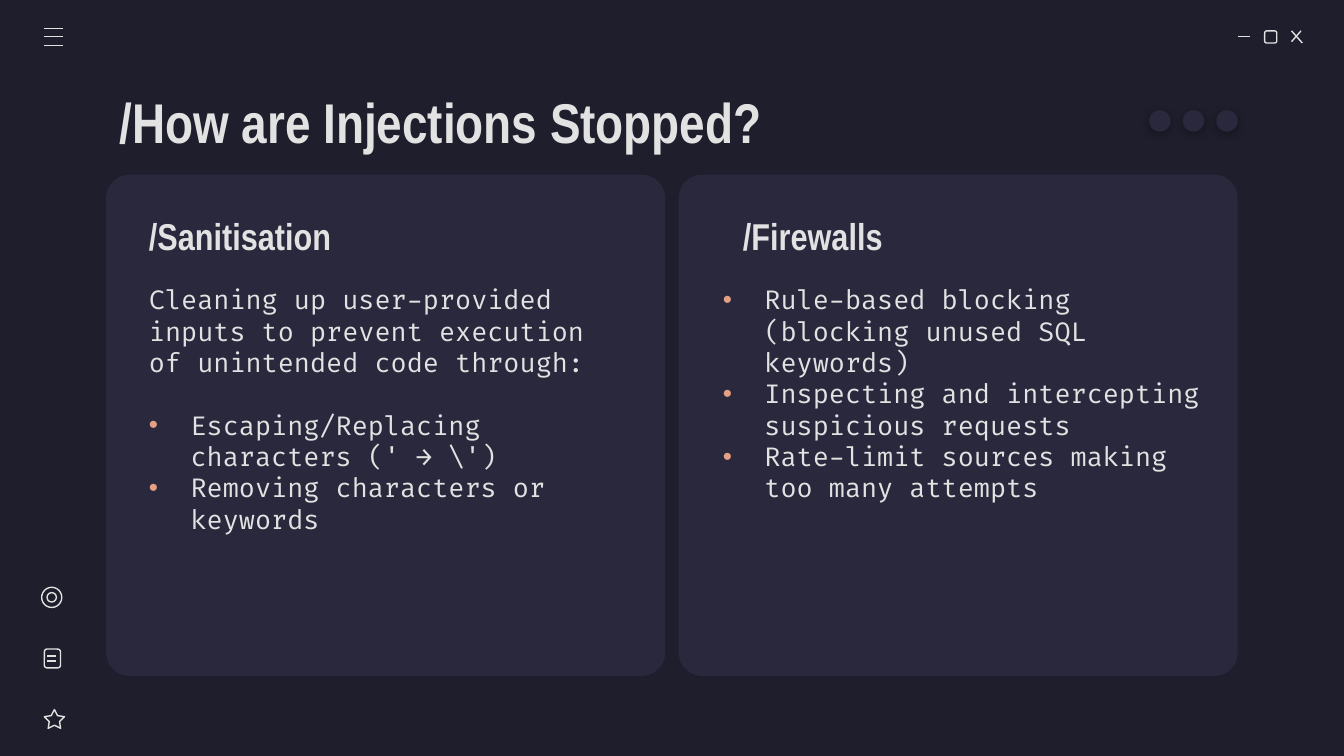
from lxml import etree
from pptx import Presentation
from pptx.dml.color import RGBColor
from pptx.enum import shapes, text
from pptx.oxml.ns import qn
from pptx.util import Inches, Pt

NIGHT = RGBColor(0x1E, 0x1E, 0x2C)
PANEL = RGBColor(0x29, 0x28, 0x3D)
PALE = RGBColor(0xE2, 0xE2, 0xE2)
PEACH = RGBColor(0xE5, 0xA0, 0x83)
HEADING_FONT, BODY_FONT, BULLET_FONT = "Arial Narrow", "Fira Code", "Arial"
KIND = shapes.MSO_SHAPE


def add_shape(page, kind, left, top, width, height, fill=None, adjust=None):
    """Add a filled shape, or a pale outline when no fill is given."""
    shape = page.shapes.add_shape(
        kind, Inches(left), Inches(top), Inches(width), Inches(height))
    shape.shadow.inherit = False
    if adjust is not None:
        shape.adjustments[0] = adjust
    if fill is None:
        shape.fill.background()
        shape.line.color.rgb = PALE
        shape.line.width = Pt(0.75)
    else:
        shape.fill.solid()
        shape.fill.fore_color.rgb = fill
        shape.line.fill.background()
    return shape


def add_line(page, x1, y1, x2, y2):
    """Add a thin pale line without a shadow."""
    line = page.shapes.add_connector(
        shapes.MSO_CONNECTOR.STRAIGHT, Inches(x1), Inches(y1), Inches(x2), Inches(y2))
    line.line.color.rgb = PALE
    line.line.width = Pt(0.75)
    etree.SubElement(line._element.spPr, qn("a:effectLst"))


def add_text(page, left, top, width, height, lines, size, font=BODY_FONT, heading=False):
    """Add a text box with one paragraph per line and return its paragraphs."""
    box = page.shapes.add_textbox(
        Inches(left), Inches(top), Inches(width), Inches(height))
    frame = box.text_frame
    frame.word_wrap = True
    frame.margin_left = frame.margin_right = Inches(0.1)
    frame.margin_top = frame.margin_bottom = Inches(0.1)
    frame.vertical_anchor = text.MSO_ANCHOR.MIDDLE if heading else text.MSO_ANCHOR.TOP
    frame.text = "\n".join(lines)
    for para in frame.paragraphs:
        for span in para.runs:
            span.font.name = font
            span.font.size = Pt(size)
            span.font.bold = heading
            span.font.color.rgb = PALE
    return frame.paragraphs


def set_indent(para, margin, first):
    """Set the left margin and first-line indent of a paragraph."""
    properties = para._p.get_or_add_pPr()
    properties.set("marL", str(Inches(margin)))
    properties.set("indent", str(Inches(first)))
    return properties


def add_bullet(para):
    """Give a paragraph a hanging peach bullet."""
    properties = set_indent(para, 0.31, -0.31)
    colour = etree.SubElement(properties, qn("a:buClr"))
    etree.SubElement(colour, qn("a:srgbClr"), val=str(PEACH))
    etree.SubElement(properties, qn("a:buFont"), typeface=BULLET_FONT)
    etree.SubElement(properties, qn("a:buChar"), char="•")


def add_window_buttons(page, left, top):
    """Draw the minimise, maximise and close signs."""
    add_line(page, left, top + 0.04, left + 0.09, top + 0.04)
    add_shape(page, KIND.ROUNDED_RECTANGLE, left + 0.2, top, 0.09, 0.09)
    add_line(page, left + 0.4, top, left + 0.48, top + 0.09)
    add_line(page, left + 0.47, top, left + 0.4, top + 0.08)


def add_menu(page, left, top):
    """Draw the three-line menu sign."""
    for offset in (0, 0.06, 0.13):
        add_line(page, left, top + offset, left + 0.14, top + offset)


def add_sidebar(page, left, top):
    """Draw the target, note and star icons."""
    add_shape(page, KIND.OVAL, left, top, 0.15, 0.15)
    add_shape(page, KIND.OVAL, left + 0.04, top + 0.04, 0.07, 0.07)
    add_shape(page, KIND.ROUNDED_RECTANGLE, left + 0.02, top + 0.46, 0.12, 0.14)
    for y in (top + 0.51, top + 0.55):
        add_line(page, left + 0.04, y, left + 0.11, y)
    add_shape(page, KIND.STAR_5_POINT, left + 0.02, top + 0.91, 0.15, 0.14, adjust=0.254)


def add_dots(page, left, top):
    """Draw three dots with soft shadows below them."""
    for index in range(3):
        dot = add_shape(page, KIND.OVAL, left + index * 0.25, top, 0.16, 0.16, PANEL)
        effects = dot._element.spPr.find(qn("a:effectLst"))
        shadow = etree.SubElement(
            effects, qn("a:outerShdw"), blurRad=str(Pt(4.5)), dist=str(Pt(1.5)),
            dir="5400000", algn="bl", rotWithShape="0")
        colour = etree.SubElement(shadow, qn("a:srgbClr"), val="000000")
        etree.SubElement(colour, qn("a:alpha"), val="30000")


def add_card(page, left, top, inset, width, title, bullets, intro=None, title_indent=None):
    """Draw a panel with a heading, an optional introduction and bullets."""
    add_shape(page, KIND.ROUNDED_RECTANGLE, left, top, 4.16, 3.73, PANEL, 0.047)
    heading = add_text(page, left + inset, top + 0.2, width, 0.51, [title],
                       20, HEADING_FONT, heading=True)[0]
    if title_indent:
        set_indent(heading, *title_indent)
    lines = ([intro] if intro else []) + bullets
    paragraphs = add_text(page, left + inset, top + 0.71, width, 2.85, lines, 14)
    if intro:
        paragraphs[0].space_after = Pt(16.8)
    for para in paragraphs[-len(bullets):]:
        add_bullet(para)


def main():
    """Build the slide and save the deck."""
    deck = Presentation()
    deck.slide_width = Inches(10)
    deck.slide_height = deck.slide_width * 9 // 16
    page = deck.slides.add_slide(deck.slide_layouts[6])
    page.background.fill.solid()
    page.background.fill.fore_color.rgb = NIGHT
    add_card(page, 0.79, 1.3, 0.22, 3.71, "/Sanitisation",
             ["Escaping/Replacing characters (' → \\')",
              "Removing characters or keywords"],
             intro="Cleaning up user-provided inputs to prevent execution "
                   "of unintended code through:")
    add_card(page, 5.05, 1.3, 0.23, 3.77, "/Firewalls",
             ["Rule-based blocking (blocking unused SQL keywords)",
              "Inspecting and intercepting suspicious requests",
              "Rate-limit sources making too many attempts"],
             title_indent=(0.5, -0.35))
    add_text(page, 0.79, 0.59, 8.43, 0.63, ["/How are Injections Stopped?"],
             30, HEADING_FONT, heading=True)
    add_window_buttons(page, 9.21, 0.23)
    add_menu(page, 0.33, 0.21)
    add_sidebar(page, 0.31, 4.37)
    add_dots(page, 8.55, 0.82)
    deck.save("out.pptx")


if __name__ == "__main__":
    main()
